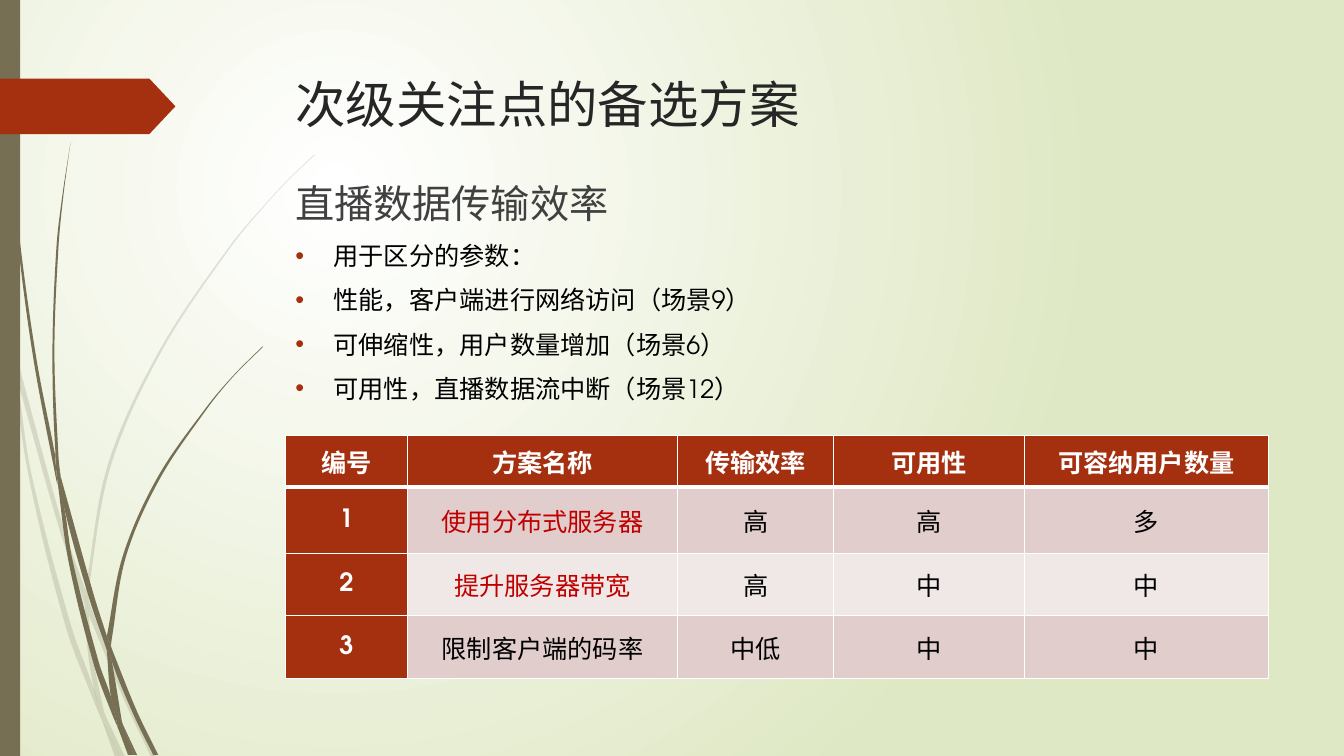
"""Build the slide on alternatives for the secondary concern of live data transfer."""
from dataclasses import dataclass

import pptx
import pptx.dml.color
import pptx.enum.shapes
import pptx.enum.text
import pptx.oxml
import pptx.oxml.ns
import pptx.util

PX = 9144
NS = pptx.oxml.ns.nsdecls("a")
Side = tuple[tuple[int, int], ...]


@dataclass(frozen=True)
class Theme:
    font: str = "TeX Gyre Adventor"
    title: str = "262626"
    heading: str = "404040"
    text: str = "000000"
    white: str = "FFFFFF"
    edge: str = "DFE8C4"
    olive: str = "766F54"
    accent: str = "A53010"
    chosen: str = "C00000"
    bands: tuple[str, str] = ("E1CDCC", "F0E8E7")
    title_size: int = 36
    heading_size: int = 28
    text_size: int = 18


@dataclass(frozen=True)
class Blade:
    """A piece of grass: the knots of its two sides, out and back, in px."""
    out: Side
    back: Side


@dataclass(frozen=True)
class Option:
    cells: tuple[str, ...]
    chosen: bool = False


T = Theme()

FAINT_GRASS = (
    Blade(((11, 350), (9, 322), (0, 282)), ((0, 299), (10, 344), (11, 350))),
    Blade(((17, 376), (58, 522), (84, 599)), ((85, 586), (62, 520), (14, 345))),
    Blade(((88, 610), (123, 694), (150, 751)), ((155, 751), (127, 692), (92, 607), (88, 596))),
    Blade(((105, 711), (119, 751)), ((124, 751), (105, 711))),
    Blade(((11, 350), (28, 470), (65, 621), (92, 693), (101, 714)),
          ((99, 707), (93, 683), (70, 619), (31, 469), (17, 376), (11, 350))),
    Blade(((84, 599), (87, 646), (93, 683), (96, 692), (105, 711)),
          ((103, 706), (91, 646), (88, 610), (84, 599))),
    Blade(((88, 596), (88, 584), (110, 462), (160, 349), (229, 245), (268, 198), (290, 175),
           (312, 154)),
          ((312, 153), (289, 175), (268, 197), (228, 244), (158, 348), (107, 461), (85, 584),
           (85, 586))),
    Blade(((101, 714), (114, 751)), ((119, 751), (101, 714))),
    Blade(((84, 599), (88, 608), (88, 610)), ((88, 596), (85, 586))),
    Blade(((93, 683), (99, 707), (101, 714), (119, 751)), ((105, 711), (96, 692), (93, 683))),
)

BOLD_GRASS = (
    Blade(((3, 0), (4, 48), (7, 110), (17, 233), (33, 355), (56, 477), (57, 481)),
          ((55, 457), (55, 453), (36, 355), (19, 232), (8, 109), (5, 48), (4, 0))),
    Blade(((60, 472), (64, 505), (88, 592), (106, 645)), ((106, 631), (93, 590), (60, 472))),
    Blade(((110, 641), (111, 656), (132, 708), (152, 749)),
          ((157, 749), (136, 706), (113, 649), (110, 641))),
    Blade(((57, 477), (68, 557), (93, 659), (111, 708), (117, 722)),
          ((116, 717), (110, 691), (98, 657), (72, 556), (64, 505), (57, 477))),
    Blade(((70, 141), (62, 193), (56, 245), (52, 349), (55, 449), (60, 472)),
          ((60, 472), (58, 453), (54, 349), (58, 245), (63, 193), (70, 141))),
    Blade(((122, 719), (133, 749)), ((136, 749), (122, 719))),
    Blade(((55, 449), (55, 453), (57, 477), (64, 505)), ((60, 472), (55, 449))),
    Blade(((106, 631), (122, 551), (156, 474), (204, 405), (231, 373), (260, 344)),
          ((261, 344), (231, 374), (205, 406), (158, 476), (125, 552), (111, 633), (110, 641))),
    Blade(((117, 722), (127, 749)), ((131, 749), (117, 722))),
    Blade(((106, 645), (110, 691), (116, 706), (122, 719)),
          ((121, 716), (111, 656), (109, 651), (106, 645))),
    Blade(((106, 631), (106, 645), (109, 651), (111, 656)), ((110, 641), (106, 631))),
    Blade(((110, 691), (116, 717), (117, 722), (130, 749)),
          ((133, 749), (122, 719), (116, 706), (110, 691))),
)

PARAMETERS = ("用于区分的参数：", "性能，客户端进行网络访问（场景9）",
              "可伸缩性，用户数量增加（场景6）", "可用性，直播数据流中断（场景12）")

OPTIONS = (
    Option(("编号", "方案名称", "传输效率", "可用性", "可容纳用户数量")),
    Option(("1", "使用分布式服务器", "高", "高", "多"), True),
    Option(("2", "提升服务器带宽", "高", "中", "中"), True),
    Option(("3", "限制客户端的码率", "中低", "中", "中")),
)
COLUMN_WIDTHS = (121, 268, 155, 189, 242)
ROW_HEIGHTS = (51, 66, 62, 62)


def rgb(value: str) -> pptx.dml.color.RGBColor:
    """Turn a hex string into a colour."""
    return pptx.dml.color.RGBColor.from_string(value)


def box(*lengths: int) -> tuple[int, ...]:
    """Turn px lengths into EMU."""
    return tuple(n * PX for n in lengths)


def set_font(p, size: int, color: str, bold: bool = False) -> None:
    """Set the font of a whole paragraph."""
    p.font.name, p.font.size, p.font.bold = T.font, pptx.util.Pt(size), bold
    p.font.color.rgb = rgb(color)


def paint(sp, color: str) -> None:
    """Give a shape a plain fill with no line or shadow."""
    sp.shadow.inherit = False
    sp.fill.solid()
    sp.fill.fore_color.rgb = rgb(color)
    sp.line.fill.background()


def set_background(s) -> None:
    """Fill the slide with a radial gradient."""
    fill = s.background.fill
    fill.gradient()
    for stop, color in zip(fill.gradient_stops, (T.white, T.edge)):
        stop.color.rgb = rgb(color)
    lin = s._element.xpath("./p:cSld/p:bg//a:lin")[0]
    lin.getparent().replace(lin, pptx.oxml.parse_xml(
        f'<a:path {NS} path="circle">'
        '<a:fillToRect l="50000" t="50000" r="100000" b="100000"/></a:path>'))


def curve(side: Side) -> list[complex]:
    """Return two handles and an end point for each smooth segment of a side."""
    knots = [complex(*knot) for knot in (side[0], *side, side[-1])]
    points = []
    for a, b, c, d in zip(knots, knots[1:], knots[2:], knots[3:]):
        reach = abs(c - b) / 3
        points += [b + (c - a) / abs(c - a) * reach, c - (d - b) / abs(d - b) * reach, c]
    return points


def add_blade(shapes, blade: Blade, opacity: int) -> None:
    """Draw one piece of grass with curved sides."""
    join = [complex(*blade.back[0])] * 3 if blade.back[0] != blade.out[-1] else []
    points = curve(blade.out) + join + curve(blade.back)
    builder = shapes.build_freeform(*box(*blade.out[0]), scale=1.0)
    builder.add_line_segments([(z.real * PX, z.imag * PX) for z in points], close=True)
    sp = builder.convert_to_shape()
    paint(sp, T.olive)
    lines = sp._element.xpath(".//a:lnTo")
    for trio in zip(lines[::3], lines[1::3], lines[2::3]):
        bezier = pptx.oxml.parse_xml(f"<a:cubicBezTo {NS}/>")
        trio[0].addprevious(bezier)
        for line in trio:
            bezier.append(line[0])
            line.getparent().remove(line)
    if opacity < 100:
        color = sp._element.spPr.xpath("./a:solidFill/a:srgbClr")[0]
        color.append(pptx.oxml.parse_xml(f'<a:alpha {NS} val="{opacity * 1000}"/>'))


def add_block(s, kind, color: str, *place: int):
    """Draw a plain preset shape."""
    sp = s.shapes.add_shape(kind, *box(*place))
    paint(sp, color)
    return sp


def set_title(s) -> None:
    """Place and format the title."""
    sp = s.shapes.title
    sp.left, sp.top, sp.width, sp.height = box(283, 68, 975, 140)
    tf = sp.text_frame
    tf.text = "次级关注点的备选方案"
    tf.auto_size = pptx.enum.text.MSO_AUTO_SIZE.NONE
    tf.vertical_anchor = pptx.enum.text.MSO_ANCHOR.TOP
    tf.paragraphs[0].alignment = pptx.enum.text.PP_ALIGN.LEFT
    set_font(tf.paragraphs[0], T.title_size, T.title)


def add_body(s) -> None:
    """Write the heading and its bulleted parameters."""
    tf = s.shapes.add_textbox(*box(283, 173, 975, 413)).text_frame
    tf.word_wrap = True
    tf.text = "直播数据传输效率"
    set_font(tf.paragraphs[0], T.heading_size, T.heading)
    for text in PARAMETERS:
        p = tf.add_paragraph()
        p.text = text
        set_font(p, T.text_size, T.text)
        p.space_before = pptx.util.Pt(10)
        pPr = p._p.get_or_add_pPr()
        pPr.set("marL", str(38 * PX))
        pPr.set("indent", str(-38 * PX))
        bullet = (f'<a:buClr {NS}><a:srgbClr val="{T.accent}"/></a:buClr>',
                  f'<a:buFont {NS} typeface="Arial"/>', f'<a:buChar {NS} char="•"/>')
        for i, xml in enumerate(bullet, 1):
            pPr.insert(i, pptx.oxml.parse_xml(xml))


def set_borders(cell, row: int) -> None:
    """Draw white cell borders, thicker under the header."""
    widths = {"L": 1, "R": 1, "T": 3 if row == 1 else 1, "B": 3 if row == 0 else 1}
    for i, (side, width) in enumerate(widths.items()):
        cell._tc.get_or_add_tcPr().insert(i, pptx.oxml.parse_xml(
            f'<a:ln{side} {NS} w="{pptx.util.Pt(width)}"><a:solidFill>'
            f'<a:srgbClr val="{T.white}"/></a:solidFill></a:ln{side}>'))


def fill_cell(cell, text: str, row: int, head: bool, color: str) -> None:
    """Write and format one table cell."""
    cell.text = text
    cell.vertical_anchor = pptx.enum.text.MSO_ANCHOR.MIDDLE
    cell.margin_left = cell.margin_right = 7 * PX
    cell.margin_top = cell.margin_bottom = 0
    cell.fill.solid()
    cell.fill.fore_color.rgb = rgb(T.accent if head else T.bands[(row - 1) % 2])
    set_borders(cell, row)
    p = cell.text_frame.paragraphs[0]
    p.alignment = pptx.enum.text.PP_ALIGN.CENTER
    set_font(p, T.text_size, T.white if head else color, head)


def add_options(s) -> None:
    """Build the table that compares the options."""
    table = s.shapes.add_table(len(OPTIONS), len(COLUMN_WIDTHS), *box(283, 432, 975, 241)).table
    for column, width in zip(table.columns, COLUMN_WIDTHS):
        column.width = width * PX
    for row, height in zip(table.rows, ROW_HEIGHTS):
        row.height = height * PX
    for i, option in enumerate(OPTIONS):
        for j, text in enumerate(option.cells):
            color = T.chosen if option.chosen and j == 1 else T.text
            fill_cell(table.cell(i, j), text, i, i == 0 or j == 0, color)


def main() -> None:
    """Build and save the slide."""
    prs = pptx.Presentation()
    prs.slide_width, prs.slide_height = box(1333, 750)
    s = prs.slides.add_slide(prs.slide_layouts[5])
    set_background(s)
    for grass, opacity in ((FAINT_GRASS, 20), (BOLD_GRASS, 100)):
        group = s.shapes.add_group_shape()
        for blade in grass:
            add_blade(group.shapes, blade, opacity)
    shapes = pptx.enum.shapes.MSO_SHAPE
    add_block(s, shapes.RECTANGLE, T.olive, 0, 0, 20, 750)
    tag = add_block(s, shapes.PENTAGON, T.accent, 0, 78, 174, 55)
    tag.adjustments[0] = 0.47
    set_title(s)
    add_body(s)
    add_options(s)
    prs.save("out.pptx")


if __name__ == "__main__":
    main()
